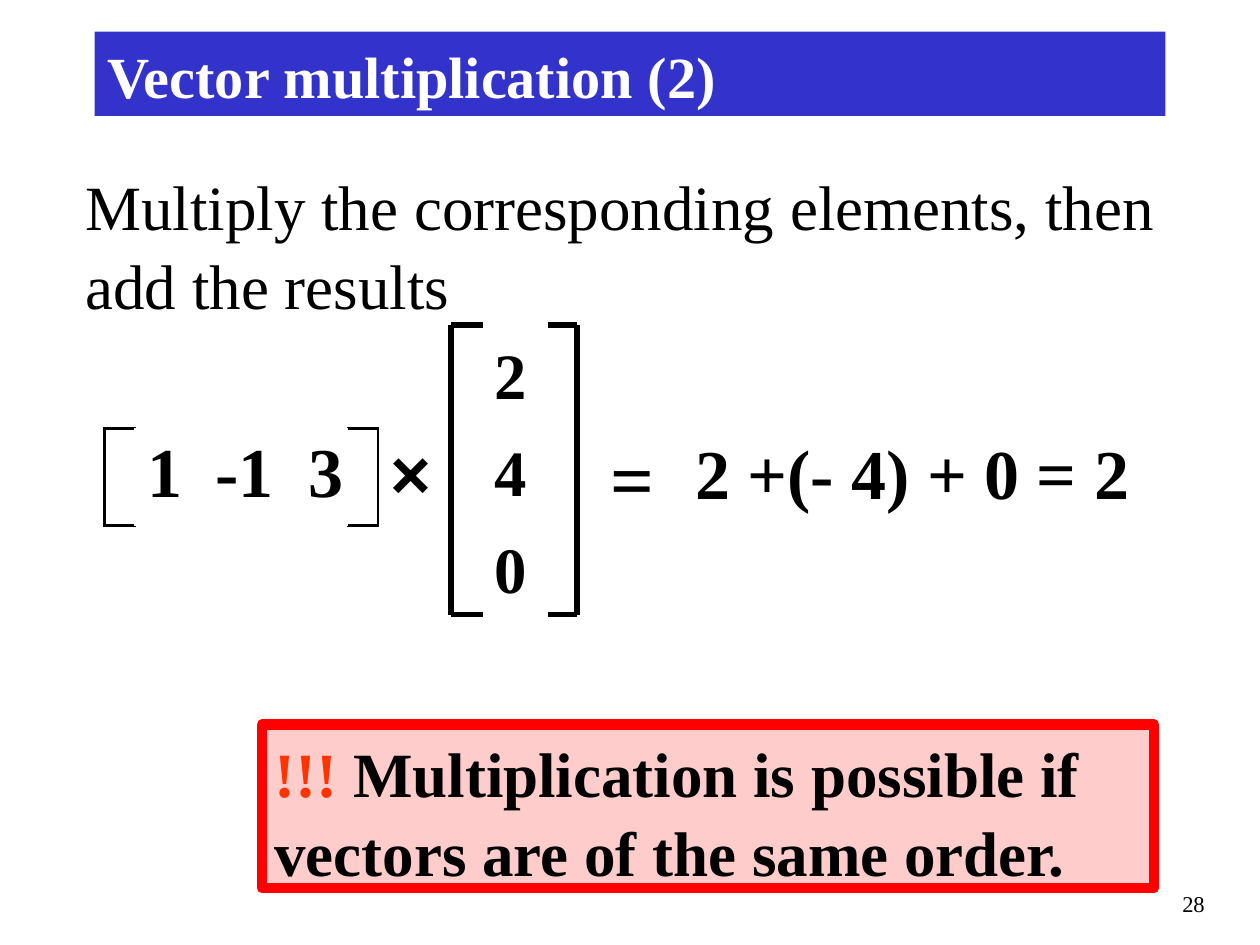
from lxml import etree
from pptx import Presentation
from pptx.dml.color import RGBColor
from pptx.enum.shapes import MSO_CONNECTOR, MSO_SHAPE
from pptx.enum.text import MSO_ANCHOR as Anchor, MSO_AUTO_SIZE as AutoSize, PP_ALIGN as Align
from pptx.oxml.ns import qn
from pptx.util import Inches, Pt

COLORS = {"black": "000000", "white": "FFFFFF", "title": "3333CC",
          "note": "FFCCCC", "border": "FF0000", "warning": "FF3300"}
SERIF = "Times New Roman"


def color(name):
    return RGBColor.from_string(COLORS[name])


def write(frame, text, size=36, font=SERIF, bold=False, fill="black",
          align=Align.LEFT, anchor=Anchor.TOP, spacing=1.05):
    """Add a run to the first paragraph of a text frame or table cell."""
    frame.word_wrap = True
    frame.auto_size = AutoSize.NONE
    frame.vertical_anchor = anchor
    paragraph = frame.paragraphs[0]
    paragraph.alignment = align
    paragraph.line_spacing = spacing
    run = paragraph.add_run()
    run.text = text
    run.font.size = Pt(size)
    run.font.name = font
    run.font.bold = bold
    run.font.color.rgb = color(fill)


presentation = Presentation()
presentation.slide_width, presentation.slide_height = Inches(10), Inches(7.5)
slide = presentation.slides.add_slide(presentation.slide_layouts[5])
shapes = slide.shapes

# Title bar
title = shapes.title
title.left, title.top = Inches(0.75), Inches(0.25)
title.width, title.height = Inches(8.5), Inches(0.67)
title.fill.solid()
title.fill.fore_color.rgb = color("title")
write(title.text_frame, "Vector multiplication (2)", size=33.3, bold=True,
      fill="white", anchor=Anchor.MIDDLE)

# Explanation, operators, result and page number
bold_term = {"size": 40, "bold": True}
texts = [
    ("Multiply the corresponding elements, then add the results",
     (0.58, 1.25, 9.08, 1.3), {}),
    ("×", (3, 3.33, 0.5, 0.77), {**bold_term, "font": "Arial"}),
    ("=", (4.75, 3.33, 0.5, 0.84), {"size": 44, "bold": True}),
    ("2 +(- 4) + 0 = 2", (5.42, 3.33, 3.83, 0.77), bold_term),
    ("28", (7.58, 7, 2.08, 0.33), {"size": 12.9, "align": Align.RIGHT}),
]

# Column vector: elements one row apart
row_height = 0.77
for row, element in enumerate(["2", "4", "0"]):
    texts.append((element, (3.83, 2.58 + row * row_height, 0.52, row_height),
                  {"size": 37, "bold": True}))

for text, box, style in texts:
    textbox = shapes.add_textbox(*map(Inches, box))
    write(textbox.text_frame, text, **style)

# Column vector: brackets
top, bottom = 2.58, 4.88
for outer, inner in [(3.58, 3.83), (4.58, 4.35)]:
    for start, end in [((outer, top), (inner, top)),
                       ((outer, bottom), (inner, bottom)),
                       ((outer, top), (outer, bottom))]:
        line = shapes.add_connector(MSO_CONNECTOR.STRAIGHT,
                                    *map(Inches, start + end))
        line.line.color.rgb = color("black")
        line.line.width = Pt(3)
        etree.SubElement(line._element.spPr, qn("a:effectLst"))

# Row vector: table whose end cells form the brackets
column_widths = [0.24, 0.54, 0.74, 0.41, 0.24]
table = shapes.add_table(1, 5, Inches(0.83), Inches(3.4), Inches(2.17),
                         Inches(row_height)).table
table.first_row = table.horz_banding = False
bracket_sides = {0: ["lnL", "lnT", "lnB"], 4: ["lnR", "lnT", "lnB"]}
for index, element in enumerate(["", "1", "-1", "3", ""]):
    table.columns[index].width = Inches(column_widths[index])
    cell = table.cell(0, index)
    properties = cell._tc.get_or_add_tcPr()
    for side in bracket_sides.get(index, []):
        border = etree.SubElement(properties, qn(f"a:{side}"), w=str(Pt(1.47)))
        solid = etree.SubElement(border, qn("a:solidFill"))
        etree.SubElement(solid, qn("a:srgbClr"), val=COLORS["black"])
    cell.fill.background()
    if element:
        write(cell.text_frame, element, spacing=1, **bold_term)

# Warning box
warning = shapes.add_shape(MSO_SHAPE.RECTANGLE, Inches(2.08), Inches(5.75),
                           Inches(7.08), Inches(1.3))
warning.shadow.inherit = False
warning.fill.solid()
warning.fill.fore_color.rgb = color("note")
warning.line.color.rgb = color("border")
warning.line.width = Pt(6)
write(warning.text_frame, "!!!", bold=True, fill="warning")
write(warning.text_frame, " Multiplication is possible if vectors are of the same order.",
      bold=True)

presentation.save("out.pptx")
